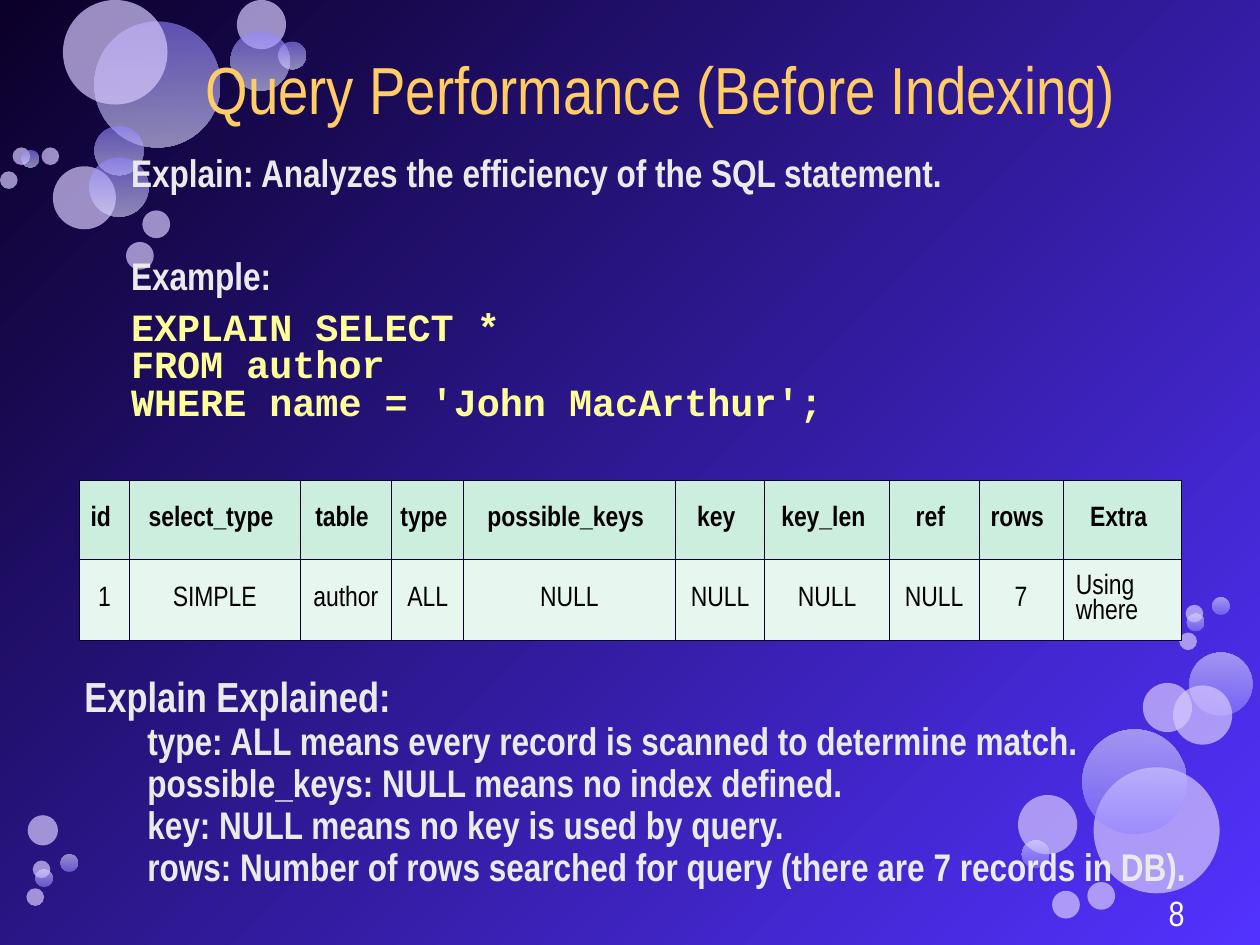
from pptx import Presentation
from pptx.dml.color import RGBColor
from pptx.enum.shapes import MSO_SHAPE
from pptx.enum.text import MSO_ANCHOR, PP_ALIGN
from pptx.oxml import parse_xml
from pptx.oxml.ns import nsdecls, qn
from pptx.util import Inches, Pt

OVAL = MSO_SHAPE.OVAL
TOP, MIDDLE, BOTTOM = MSO_ANCHOR.TOP, MSO_ANCHOR.MIDDLE, MSO_ANCHOR.BOTTOM
LEFT, CENTER, RIGHT = PP_ALIGN.LEFT, PP_ALIGN.CENTER, PP_ALIGN.RIGHT

COLORS = {
    "night": "0B0029", "violet": "5332FF",
    "lilac": "D7C8FE", "glow_top": "9185FF", "glow_bottom": "DEDCFF",
    "title": "FFCC66", "body": "EAEAEA", "code": "FFFF99", "number": "FFFFFF",
    "header": "CCEEDF", "record": "E7F6EF", "ink": "000000", "border": "0C002C",
}
NARROW, MONO = "Arial Narrow", "Courier New"

DOWNWARD, UPWARD = 270, 90
PLAIN, GLOW = "plain", "glow"
TOP_LEFT_BUBBLES = [
    (0.75, 0.17, 1, GLOW), (0.42, 1.32, 0.5, PLAIN), (0.75, 1, 0.39, GLOW),
    (0.71, 1.25, 0.47, GLOW), (0.5, 0, 0.83, PLAIN), (1.88, 0, 0.39, PLAIN),
    (1.83, 0.25, 0.47, GLOW), (2.21, 0.33, 0.22, GLOW), (1.13, 1.67, 0.22, PLAIN),
    (0.1, 1.17, 0.14, PLAIN), (1, 1.92, 0.22, PLAIN), (0, 1.36, 0.14, PLAIN),
    (0.17, 1.19, 0.14, GLOW), (0.33, 1.17, 0.14, PLAIN),
]
RIGHT_BUBBLES = [
    (0.6, 1.35, 1, PLAIN), (1.36, 0.44, 0.5, GLOW), (0.99, 0.68, 0.39, PLAIN),
    (1.23, 0.7, 0.47, PLAIN), (0.51, 1.05, 0.83, GLOW), (0, 1.57, 0.47, PLAIN),
    (0.03, 1.93, 0.22, GLOW), (0.27, 2.33, 0.22, PLAIN), (1.33, 0.06, 0.14, PLAIN),
    (0.55, 2.26, 0.22, PLAIN), (1.54, 0, 0.14, GLOW), (1.34, 0.13, 0.14, GLOW),
    (1.28, 0.28, 0.14, PLAIN),
]
BOTTOM_LEFT_BUBBLES = [
    (0.01, 0, 0.24, PLAIN), (0.05, 0.36, 0.14, PLAIN), (0.27, 0.31, 0.14, GLOW),
    (0.07, 0.43, 0.14, GLOW), (0, 0.58, 0.14, PLAIN),
]

PLAN = [
    ("id", 0.4, "1"), ("select_type", 1.35, "SIMPLE"), ("table", 0.73, "author"),
    ("type", 0.57, "ALL"), ("possible_keys", 1.68, "NULL"), ("key", 0.71, "NULL"),
    ("key_len", 0.99, "NULL"), ("ref", 0.71, "NULL"), ("rows", 0.67, "7"),
    ("Extra", 0.94, "Using where"),
]
FINDINGS = [
    "type: ALL means every record is scanned to determine match.",
    "possible_keys: NULL means no index defined.",
    "key: NULL means no key is used by query.",
    "rows: Number of rows searched for query (there are 7 records in DB).",
]


def rgb(name):
    """Return the named palette colour."""
    return RGBColor.from_string(COLORS[name])


def paint_gradient(fill, start, end, angle):
    """Fill with a two-stop linear gradient."""
    fill.gradient()
    fill.gradient_angle = angle
    for stop, name in zip(fill.gradient_stops, (start, end)):
        stop.color.rgb = rgb(name)


def add_bubbles(slide, left, top, bubbles, angle):
    """Place a cluster of translucent circles from its top left corner."""
    for x, y, size, look in bubbles:
        bubble = slide.shapes.add_shape(
            OVAL, Inches(left + x), Inches(top + y), Inches(size), Inches(size))
        bubble.shadow.inherit = False
        bubble.line.fill.background()
        if look == GLOW:
            paint_gradient(bubble.fill, "glow_top", "glow_bottom", angle)
        else:
            bubble.fill.solid()
            bubble.fill.fore_color.rgb = rgb("lilac")
        opacity = 60000 if look == GLOW else 70000
        for color in bubble._element.spPr.iter(qn("a:srgbClr")):
            color.append(parse_xml(f'<a:alpha {nsdecls("a")} val="{opacity}"/>'))


def write(paragraph, text, color, size, spacing, bold=False, font=NARROW,
          align=LEFT, before=None):
    """Write one formatted paragraph."""
    paragraph.text = text
    layout = {"alignment": align, "line_spacing": spacing}
    if before is not None:
        layout["space_before"] = Pt(before)
    for name, value in layout.items():
        setattr(paragraph, name, value)
    for name, value in {"name": font, "size": Pt(size), "bold": bold}.items():
        setattr(paragraph.font, name, value)
    paragraph.font.color.rgb = rgb(color)


def add_frame(slide, box, anchor=TOP, inset=(0, 0)):
    """Add a wrapping text frame with horizontal and vertical insets."""
    frame = slide.shapes.add_textbox(*map(Inches, box)).text_frame
    across, down = map(Inches, inset)
    settings = {
        "word_wrap": True, "vertical_anchor": anchor,
        "margin_left": across, "margin_right": across,
        "margin_top": down, "margin_bottom": down,
    }
    for name, value in settings.items():
        setattr(frame, name, value)
    return frame


def add_title(slide, box):
    """Write the slide title."""
    title = add_frame(slide, box, BOTTOM, (0.1, 0.05))
    write(title.paragraphs[0], "Query Performance (Before Indexing)",
          "title", 38, 1.12, align=CENTER)


def add_example(slide, box):
    """Write the definition of EXPLAIN and its example query."""
    example = add_frame(slide, box)
    write(example.paragraphs[0],
          "Explain: Analyzes the efficiency of the SQL statement.",
          "body", 22, 0.81, bold=True)
    write(example.add_paragraph(), "Example:", "body", 22, 0.81, bold=True, before=37.4)
    write(example.add_paragraph(),
          "EXPLAIN SELECT *\vFROM author\vWHERE name = 'John MacArthur';",
          "code", 22, 0.81, bold=True, font=MONO, before=8)


def add_border(cell):
    """Draw a thin line on every side of a cell."""
    properties = cell._tc.get_or_add_tcPr()
    for index, side in enumerate(("lnL", "lnR", "lnT", "lnB")):
        properties.insert(index, parse_xml(
            f'<a:{side} {nsdecls("a")} w="{Pt(0.45)}"><a:solidFill>'
            f'<a:srgbClr val="{COLORS["border"]}"/></a:solidFill></a:{side}>'))


def add_plan(slide, box):
    """Build the table with the query plan."""
    plan = slide.shapes.add_table(2, len(PLAN), *map(Inches, box)).table
    for row, height in zip(plan.rows, (0.63, 0.64)):
        row.height = Inches(height)
    for column, (heading, width, value) in enumerate(PLAN):
        plan.columns[column].width = Inches(width)
        rows = ((heading, "header", 0.04), (value, "record", 0.1))
        for row, (text, shade, margin) in enumerate(rows):
            cell = plan.cell(row, column)
            cell.vertical_anchor = MIDDLE
            cell.margin_left = Inches(margin)
            cell.fill.solid()
            cell.fill.fore_color.rgb = rgb(shade)
            add_border(cell)
            write(cell.text_frame.paragraphs[0], text, "ink", 16, 0.92, bold=row == 0,
                  align=LEFT if text == "Using where" else CENTER)


def add_findings(slide, box):
    """Write the explanation of the plan's columns."""
    findings = add_frame(slide, box)
    write(findings.paragraphs[0], "Explain Explained:", "body", 24, 0.61, bold=True)
    for text in FINDINGS:
        finding = findings.add_paragraph()
        write(finding, text, "body", 22, 0.61, bold=True, before=8)
        finding.level = 1
        properties = finding._p.get_or_add_pPr()
        properties.set("marL", str(Inches(0.81)))
        properties.set("indent", str(Inches(-0.31)))


def add_page_number(slide, box):
    """Write the page number."""
    number = add_frame(slide, box, MIDDLE, (0.1, 0.05))
    write(number.paragraphs[0], "8", "number", 20, 0.82, align=RIGHT)


def main():
    """Build and save the slide."""
    deck = Presentation()
    deck.slide_width, deck.slide_height = Inches(10), Inches(7.5)
    slide = deck.slides.add_slide(deck.slide_layouts[6])
    paint_gradient(slide.background.fill, "night", "violet", 315)
    add_bubbles(slide, 0, 0, TOP_LEFT_BUBBLES, DOWNWARD)
    add_bubbles(slide, 8.08, 4.74, RIGHT_BUBBLES, UPWARD)
    add_bubbles(slide, 0.21, 6.47, BOTTOM_LEFT_BUBBLES, UPWARD)
    add_title(slide, (1, 0.25, 8.49, 0.81))
    add_example(slide, (1.04, 1.25, 8.81, 2.5))
    add_plan(slide, (0.63, 3.81, 8.75, 1.27))
    add_findings(slide, (0.67, 5.46, 9.21, 1.85))
    add_page_number(slide, (7.17, 7.13, 2.33, 0.28))
    deck.save("out.pptx")


if __name__ == "__main__":
    main()
